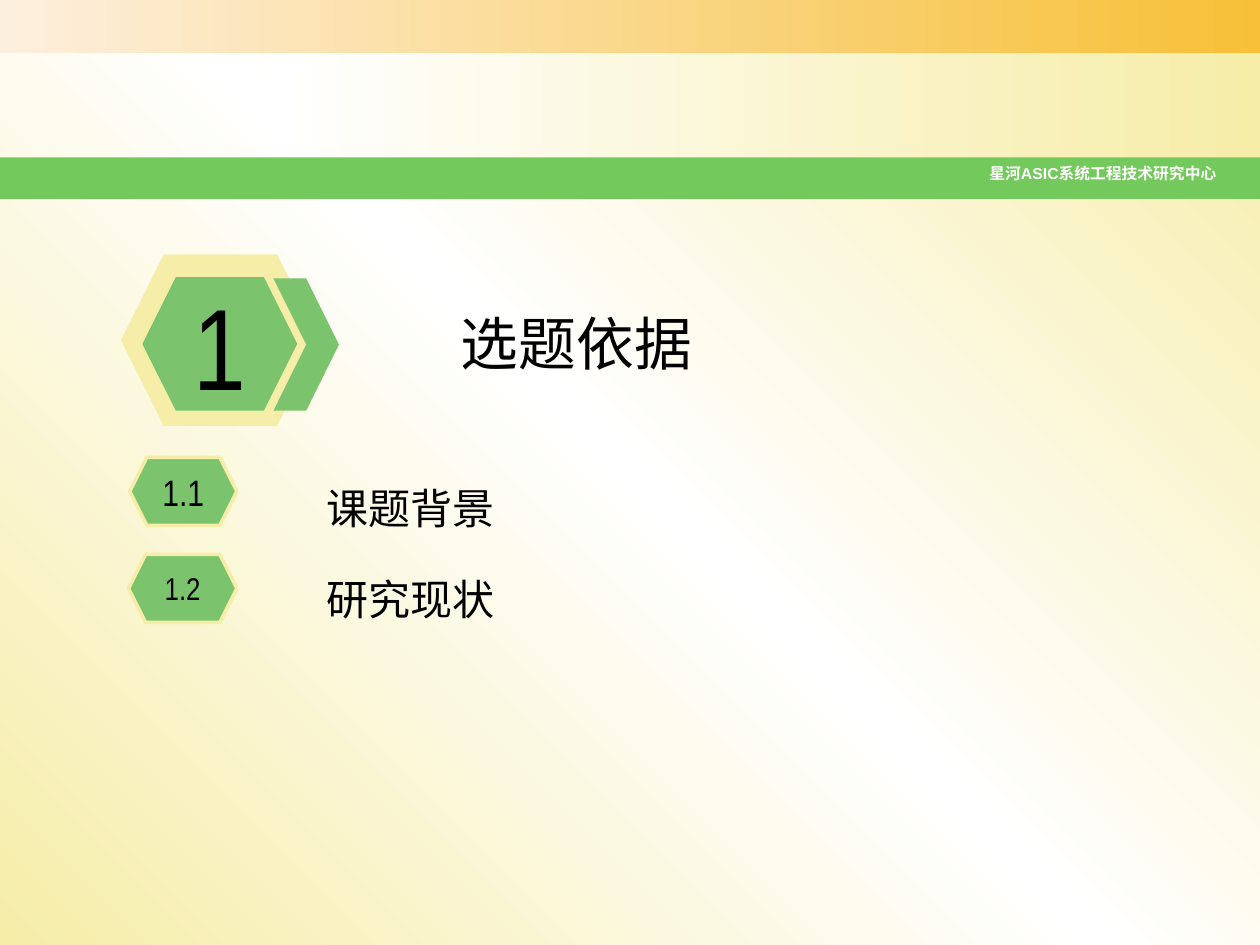
import copy
import pptx
import pptx.util
import pptx.dml.color
import pptx.enum.shapes
import pptx.enum.text
import pptx.oxml.ns

RGB = pptx.dml.color.RGBColor
KIND = pptx.enum.shapes.MSO_SHAPE
ALIGN = pptx.enum.text.PP_ALIGN
MID = pptx.enum.text.MSO_ANCHOR.MIDDLE
TOP = pptx.enum.text.MSO_ANCHOR.TOP
qn = pptx.oxml.ns.qn

CREAM = RGB(0xF6, 0xED, 0xA8)
WHITE = RGB(0xFF, 0xFF, 0xFF)
BLACK = RGB(0, 0, 0)
PEACH = RGB(0xFD, 0xEF, 0xDD)
GOLD = RGB(0xF7, 0xC0, 0x37)
GREEN = RGB(0x73, 0xC9, 0x5B)
LEAF = RGB(0x7B, 0xC4, 0x6D)
HAN = "Noto Sans CJK SC"
SLIM = "Arial Narrow"

deck = pptx.Presentation()
deck.slide_width = pptx.util.Inches(10)
deck.slide_height = pptx.util.Inches(7.5)
W, H = deck.slide_width, deck.slide_height
COL, ROW = W / 10, H / 7.5  # grid of ten columns, 7.5 rows
slide = deck.slides.add_slide(deck.slide_layouts[5])


def block(kind, x, y, w, h, *tints):
    """Add a shape on the grid; two tints make a gradient from left to right."""
    item = slide.shapes.add_shape(
        kind, int(x * COL), int(y * ROW), int(w * COL), int(h * ROW))
    item.shadow.inherit = False
    item.line.fill.background()
    if len(tints) == 1:
        item.fill.solid()
        item.fill.fore_color.rgb = tints[0]
    else:
        item.fill.gradient()
        item.fill.gradient_angle = 0
        for stop, tint, pos in zip(item.fill.gradient_stops, tints, (0, 1)):
            stop.color.rgb = tint
            stop.position = pos
    return item


def write(para, text, size, face, tint=BLACK, bold=False):
    """Add one run, with the same face for Latin and Chinese letters."""
    run = para.add_run()
    run.text = text
    font = run.font
    font.size = pptx.util.Pt(size)
    font.bold = bold
    font.color.rgb = tint
    font.name = face
    east = copy.deepcopy(run._r.rPr.find(qn("a:latin")))
    east.tag = qn("a:ea")
    run._r.rPr.find(qn("a:latin")).addnext(east)


# Background: cream corners with a white diagonal
back = slide.background.fill
back.gradient()
back.gradient_angle = 45
ends = slide._element.find(".//" + qn("a:gsLst"))
ends.insert(1, copy.deepcopy(ends[0]))
for stop, tint, pos in zip(back.gradient_stops, (CREAM, WHITE, CREAM), (0, 0.5, 1)):
    stop.color.rgb = tint
    stop.position = pos

# Header bands
block(KIND.RECTANGLE, 0, 0, 10, 0.42, PEACH, GOLD)
block(KIND.RECTANGLE, 2.17, 0.42, 7.83, 0.83, WHITE, CREAM)
block(KIND.RECTANGLE, 0, 1.25, 10, 0.33, GREEN)
label = slide.shapes.add_textbox(
    int(0.5 * COL), int(1.25 * ROW), int(9.25 * COL), int(0.26 * ROW))
label.text_frame.word_wrap = True
para = label.text_frame.paragraphs[0]
para.alignment = ALIGN.RIGHT
write(para, "星河ASIC系统工程技术研究中心", 9, "Arial", WHITE, True)

# Chapter title
title = slide.shapes.title
title.left, title.top = int(3.55 * COL), int(2.39 * ROW)
title.width, title.height = int(2.05 * COL), int(0.66 * ROW)
frame = title.text_frame
frame.word_wrap = False
frame.vertical_anchor = TOP
frame.auto_size = pptx.enum.text.MSO_AUTO_SIZE.NONE
frame.paragraphs[0].alignment = ALIGN.CENTER
write(frame.paragraphs[0], "选题依据", 33, HAN)

# Numbered hexagons: text, size, place, edge width
block(KIND.HEXAGON, 0.96, 2.02, 1.58, 1.36, CREAM)
for text, size, x, y, w, h, edge in (
        ("1", 66, 1.13, 2.2, 1.23, 1.06, 0),
        ("1.1", 21, 1.03, 3.63, 0.85, 0.54, 2),
        ("1.2", 18, 1.02, 4.4, 0.86, 0.54, 2)):
    badge = block(KIND.HEXAGON, x, y, w, h, LEAF)
    if edge:
        badge.line.color.rgb = CREAM
        badge.line.width = pptx.util.Pt(edge)
    frame = badge.text_frame
    frame.word_wrap = False
    frame.vertical_anchor = MID
    frame.paragraphs[0].alignment = ALIGN.CENTER
    write(frame.paragraphs[0], text, size, SLIM)
block(KIND.CHEVRON, 2.17, 2.21, 0.52, 1.05, LEAF)

# Section names
body = slide.shapes.add_textbox(
    int(2.49 * COL), int(3.58 * ROW), int(5 * COL), int(1.44 * ROW))
frame = body.text_frame
frame.word_wrap = True
for num, text in enumerate(("课题背景", "研究现状")):
    para = frame.add_paragraph() if num else frame.paragraphs[0]
    para.line_spacing = 1.5
    para.space_before = pptx.util.Pt(9)
    write(para, text, 24, HAN)

deck.save("out.pptx")
